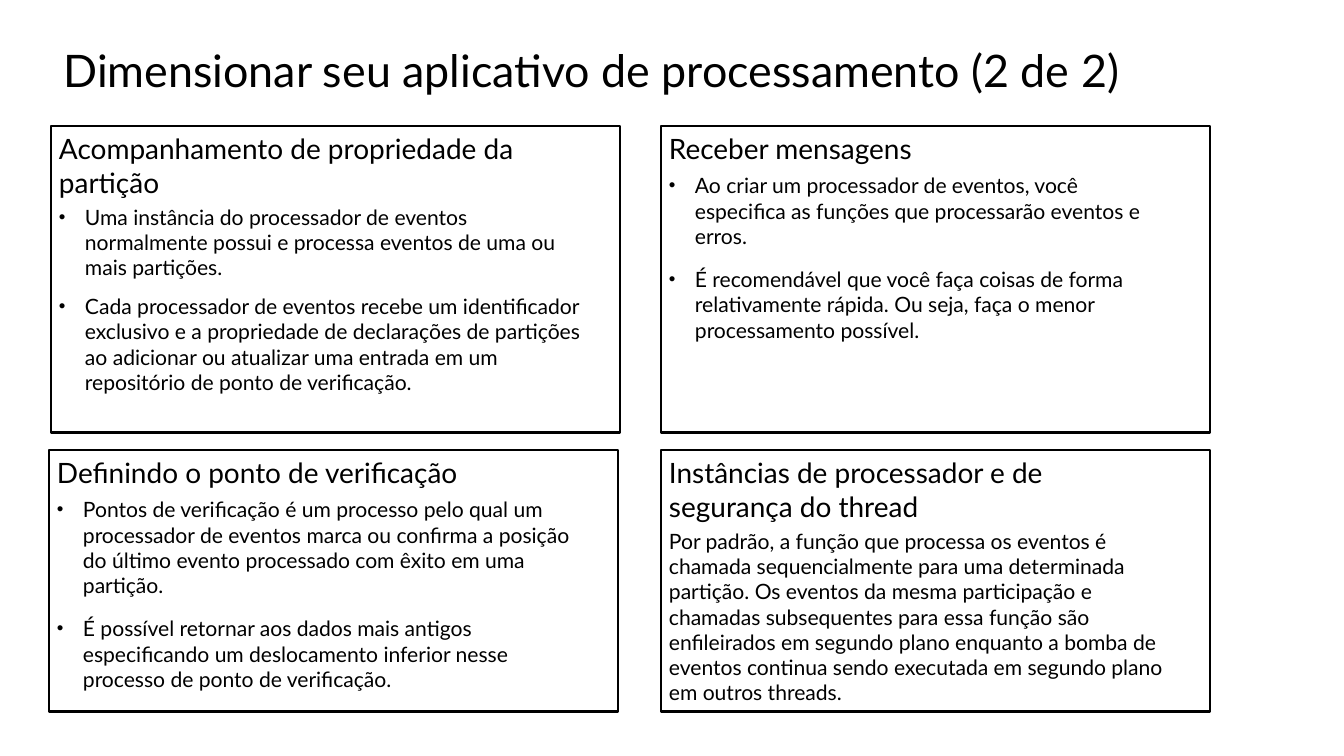
"""Build the slide on scaling an event processing application."""
import lxml.etree
import pptx
import pptx.dml.color
import pptx.enum.text
import pptx.enum.shapes
import pptx.oxml.ns
import pptx.util

TITLE = "Dimensionar seu aplicativo de processamento (2 de 2)"
TIGHT, LOOSE = (2.9, 4.4), (3.9, 5.9)
TOPICS = [
    {"box": (51, 126, 569, 307), "spacing": TIGHT, "bulleted": True,
     "heading": "Acompanhamento de propriedade da partição",
     "points": ["Uma instância do processador de eventos normalmente possui e processa "
                "eventos de uma ou mais partições.",
                "Cada processador de eventos recebe um identificador exclusivo e a "
                "propriedade de declarações de partições ao adicionar ou atualizar uma "
                "entrada em um repositório de ponto de verificação."]},
    {"box": (661, 126, 549, 307), "spacing": LOOSE, "bulleted": True,
     "heading": "Receber mensagens",
     "points": ["Ao criar um processador de eventos, você especifica as funções que "
                "processarão eventos e erros.",
                "É recomendável que você faça coisas de forma relativamente rápida. "
                "Ou seja, faça o menor processamento possível."]},
    {"box": (49, 450, 569, 262), "spacing": LOOSE, "bulleted": True,
     "heading": "Definindo o ponto de verificação",
     "points": ["Pontos de verificação é um processo pelo qual um processador de eventos "
                "marca ou confirma a posição do último evento processado com êxito em "
                "uma partição.",
                "É possível retornar aos dados mais antigos especificando um "
                "deslocamento inferior nesse processo de ponto de verificação."]},
    {"box": (661, 450, 549, 262), "spacing": TIGHT, "bulleted": False,
     "heading": "Instâncias de processador e de segurança do thread",
     "points": ["Por padrão, a função que processa os eventos é chamada sequencialmente "
                "para uma determinada partição. Os eventos da mesma participação e "
                "chamadas subsequentes para essa função são enfileirados em segundo plano "
                "enquanto a bomba de eventos continua sendo executada em segundo plano "
                "em outros threads."]},
]
INK = "000000"
INDENT = 26
BULLET = (("a:buSzPct", "val", "90000"), ("a:buFont", "typeface", "Arial"),
          ("a:buChar", "char", "•"))


def px(length):
    """Turn pixels into EMU."""
    return pptx.util.Emu(round(length * 914400 / 134.4))


def color(value):
    """Turn a hex string into a colour."""
    return pptx.dml.color.RGBColor.from_string(value)


def apply(target, values):
    """Set each attribute named in a dict."""
    for name, value in values.items():
        setattr(target, name, value)


def place(shape, box):
    """Move and size a shape in pixels."""
    apply(shape, dict(zip(("left", "top", "width", "height"), map(px, box))))


def write(paragraph, text, size, **layout):
    """Fill a left-aligned paragraph with one formatted run."""
    apply(paragraph, {"alignment": pptx.enum.text.PP_ALIGN.LEFT, **layout})
    run = paragraph.add_run()
    run.text = text
    apply(run.font, {"name": "Lato", "size": pptx.util.Pt(size)})
    run.font.color.rgb = color(INK)


def set_indent(paragraph, bulleted):
    """Hang a bullet, or set the paragraph flush left."""
    indent = px(INDENT) if bulleted else 0
    properties = paragraph._p.get_or_add_pPr()
    properties.set("marL", str(indent))
    properties.set("indent", str(-indent))
    for tag, key, value in BULLET if bulleted else ():
        lxml.etree.SubElement(properties, pptx.oxml.ns.qn(tag)).set(key, value)


def add_topic(slide, topic):
    """Add an outlined box with a heading and its points."""
    panel = slide.shapes.add_shape(pptx.enum.shapes.MSO_SHAPE.RECTANGLE, 0, 0, 0, 0)
    place(panel, topic["box"])
    panel.shadow.inherit = False
    panel.fill.background()
    panel.line.color.rgb = color(INK)
    panel.line.width = pptx.util.Pt(1.5)
    frame = panel.text_frame
    apply(frame, {"word_wrap": True, "vertical_anchor": pptx.enum.text.MSO_ANCHOR.TOP,
                  "margin_left": px(8), "margin_top": px(6),
                  "margin_right": px(40), "margin_bottom": px(9)})
    write(frame.paragraphs[0], topic["heading"], 15)
    before, after = map(pptx.util.Pt, topic["spacing"])
    for point in topic["points"]:
        paragraph = frame.add_paragraph()
        write(paragraph, point, 11.25, level=1, space_before=before, space_after=after)
        set_indent(paragraph, topic["bulleted"])


def main():
    """Build and save the slide."""
    deck = pptx.Presentation()
    apply(deck, {"slide_width": px(1344), "slide_height": px(756)})
    slide = deck.slides.add_slide(deck.slide_layouts[5])
    title = slide.shapes.title
    place(title, (50, 0, 1159, 146))
    apply(title.text_frame, {"word_wrap": True,
                             "auto_size": pptx.enum.text.MSO_AUTO_SIZE.NONE,
                             "vertical_anchor": pptx.enum.text.MSO_ANCHOR.MIDDLE})
    write(title.text_frame.paragraphs[0], TITLE, 24, line_spacing=0.9)
    for topic in TOPICS:
        add_topic(slide, topic)
    deck.save("out.pptx")


if __name__ == "__main__":
    main()
